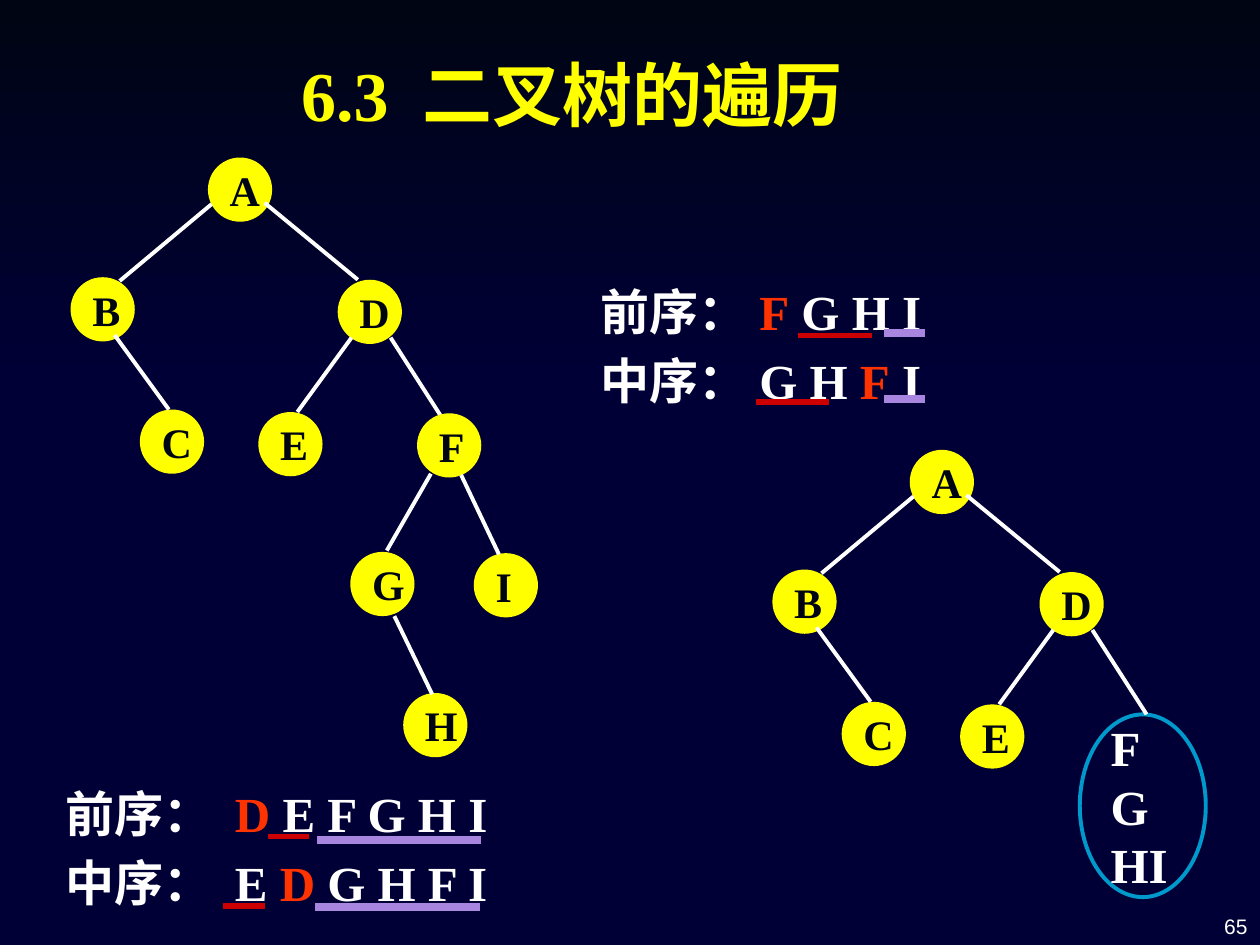
from lxml import etree
from pptx import Presentation
from pptx import util as u
from pptx.dml.color import RGBColor
from pptx.enum import shapes, text
from pptx.oxml.ns import qn

NAVY = RGBColor(0x00, 0x00, 0x36)
INK = RGBColor(0x00, 0x05, 0x14)
WHITE = RGBColor(0xFF, 0xFF, 0xFF)
YELLOW = RGBColor(0xFF, 0xFF, 0x00)
ORANGE = RGBColor(0xFF, 0x33, 0x00)
RED = RGBColor(0xCC, 0x00, 0x00)
PURPLE = RGBColor(0xA8, 0x86, 0xE0)
BLUE = RGBColor(0x00, 0x99, 0xCC)
SERIF, SANS, CJK = "Times New Roman", "Arial", "Noto Sans CJK SC"
NODE = 0.51  # node diameter

# Upper tree, shown twice; the second time shifted by SHIFT
TOP_NODES = {"A": (1.65, 1.25), "B": (0.56, 2.2), "C": (1.11, 3.25),
             "D": (2.68, 2.22), "E": (2.05, 3.27)}
TOP_EDGES = [(1.68, 1.62, 0.95, 2.23), (2.1, 1.61, 2.84, 2.22),
             (0.91, 2.66, 1.34, 3.25), (2.79, 2.68, 2.36, 3.27),
             (3.1, 2.68, 3.53, 3.35)]
SHIFT = (5.57, 2.32)
# Subtree below D
SUB_NODES = {"F": (3.31, 3.28), "I": (3.76, 4.39), "G": (2.78, 4.38),
             "H": (3.2, 5.5)}
SUB_EDGES = [(3.66, 3.77, 3.96, 4.4), (3.42, 3.76, 3.07, 4.37),
             (3.13, 4.89, 3.43, 5.51)]


class Deck:
    """Holds the style and the current slide."""

    def __init__(self, prs):
        self.s = prs.slides.add_slide(prs.slide_layouts[5])
        fill = self.s.background.fill
        fill.solid()
        fill.fore_color.rgb = NAVY

    def put_text(self, tf, paragraphs, size, font=SERIF, bold=True, **fmt):
        """Each paragraph is a list of (text, colour) runs."""
        tf.word_wrap = True
        tf.auto_size = text.MSO_AUTO_SIZE.NONE
        for i, runs in enumerate(paragraphs):
            p = tf.paragraphs[0] if i == 0 else tf.add_paragraph()
            values = {"alignment": text.PP_ALIGN.LEFT, **fmt}
            if i == 0:
                values.pop("space_before", None)
            for name, value in values.items():
                setattr(p, name, value)
            for words, color in runs:
                r = p.add_run()
                r.text = words
                look = {"name": font, "size": u.Pt(size), "bold": bold}
                for name, value in look.items():
                    setattr(r.font, name, value)
                r.font.color.rgb = color
                etree.SubElement(r.font._element, qn("a:ea"), typeface=CJK)

    def title(self, box, words):
        sp = self.s.shapes.title
        sp.left, sp.top, sp.width, sp.height = map(u.Inches, box)
        sp.text_frame.vertical_anchor = text.MSO_ANCHOR.TOP
        self.put_text(sp.text_frame, [[(words, YELLOW)]], 40,
                      line_spacing=u.Pt(51))

    def label(self, box, paragraphs, size, anchor=text.MSO_ANCHOR.TOP, **fmt):
        sp = self.s.shapes.add_textbox(*map(u.Inches, box))
        sp.text_frame.vertical_anchor = anchor
        self.put_text(sp.text_frame, paragraphs, size, **fmt)

    def shape(self, kind, box):
        sp = self.s.shapes.add_shape(kind, *map(u.Inches, box))
        sp.shadow.inherit = False
        sp.line.fill.background()
        return sp

    def band(self, box, top, bottom):
        fill = self.shape(shapes.MSO_SHAPE.RECTANGLE, box).fill
        fill.gradient()
        fill.gradient_angle = 270
        for stop, color in zip(fill.gradient_stops, (top, bottom)):
            stop.color.rgb = color

    def node(self, x, y, letter):
        sp = self.shape(shapes.MSO_SHAPE.OVAL, (x, y, NODE, NODE))
        sp.fill.solid()
        sp.fill.fore_color.rgb = YELLOW
        self.put_text(sp.text_frame, [[(letter, INK)]], 24)

    def ring(self, box, rows):
        sp = self.shape(shapes.MSO_SHAPE.OVAL, box)
        sp.fill.background()
        sp.line.color.rgb = BLUE
        sp.line.width = u.Pt(2.25)
        self.put_text(sp.text_frame, [[(row, WHITE)] for row in rows], 28,
                      line_spacing=u.Pt(33.5))

    def line(self, x1, y1, x2, y2, color=WHITE, width=2.25):
        c = self.s.shapes.add_connector(
            shapes.MSO_CONNECTOR.STRAIGHT, *map(u.Inches, (x1, y1, x2, y2)))
        c.line.color.rgb = color
        c.line.width = u.Pt(width)
        etree.SubElement(c._element.spPr, qn("a:effectLst"))

    def tree(self, nodes, edges, dx=0, dy=0):
        for letter, (x, y) in nodes.items():
            self.node(x + dx, y + dy, letter)
        for x1, y1, x2, y2 in edges:
            self.line(x1 + dx, y1 + dy, x2 + dx, y2 + dy)

    def orders(self, x, y, paragraphs):
        self.label((x, y, 4.75, 1.13), paragraphs, 28,
                   line_spacing=u.Pt(36), space_before=u.Pt(3.4))

    def underline(self, x1, x2, y, color):
        self.line(x1, y, x2, y, color, 3 if color == RED else 4.5)


def main():
    prs = Presentation()
    prs.slide_width, prs.slide_height = u.Inches(10), u.Inches(7.5)
    d = Deck(prs)

    # Backdrop, title and page number
    d.band((0, 0, 10, 3.08), INK, NAVY)
    d.title((2.29, 0.32, 6.38, 0.77), "6.3 二叉树的遍历")
    # The title placeholder comes first in the tree, so lift it over the band
    title = d.s.shapes.title._element
    title.getparent().append(title)
    d.label((7.67, 6.98, 2.33, 0.52), [[("65", WHITE)]], 12,
            anchor=text.MSO_ANCHOR.BOTTOM, font=SANS, bold=False,
            alignment=text.PP_ALIGN.RIGHT)

    # Traversal orders
    d.orders(4.67, 2.15, [
        [("前序：", WHITE), ("F", ORANGE), (" G H I", WHITE)],
        [("中序：", WHITE), ("G H ", WHITE), ("F", ORANGE), (" I", WHITE)]])
    d.orders(0.42, 6.14, [
        [("前序： ", WHITE), ("D", ORANGE), (" E F G H I", WHITE)],
        [("中序： E ", WHITE), ("D", ORANGE), (" G H F I", WHITE)]])

    # Left (red) and right (purple) subtrees in each order
    for x1, x2, y, color in [
            (6.33, 6.92, 2.66, RED), (7.02, 7.34, 2.64, PURPLE),
            (6, 6.58, 3.19, RED), (7.02, 7.34, 3.17, PURPLE),
            (2.13, 2.45, 6.64, RED), (2.52, 3.82, 6.67, PURPLE),
            (1.77, 2.1, 7.19, RED), (2.5, 3.81, 7.2, PURPLE)]:
        d.underline(x1, x2, y, color)

    # Partly built tree, then the complete one
    d.ring((8.57, 5.67, 1, 1.45), ["FG", "HI"])
    d.tree(TOP_NODES, TOP_EDGES, *SHIFT)
    d.tree(TOP_NODES, TOP_EDGES)
    d.tree(SUB_NODES, SUB_EDGES)

    prs.save("out.pptx")


if __name__ == "__main__":
    main()
